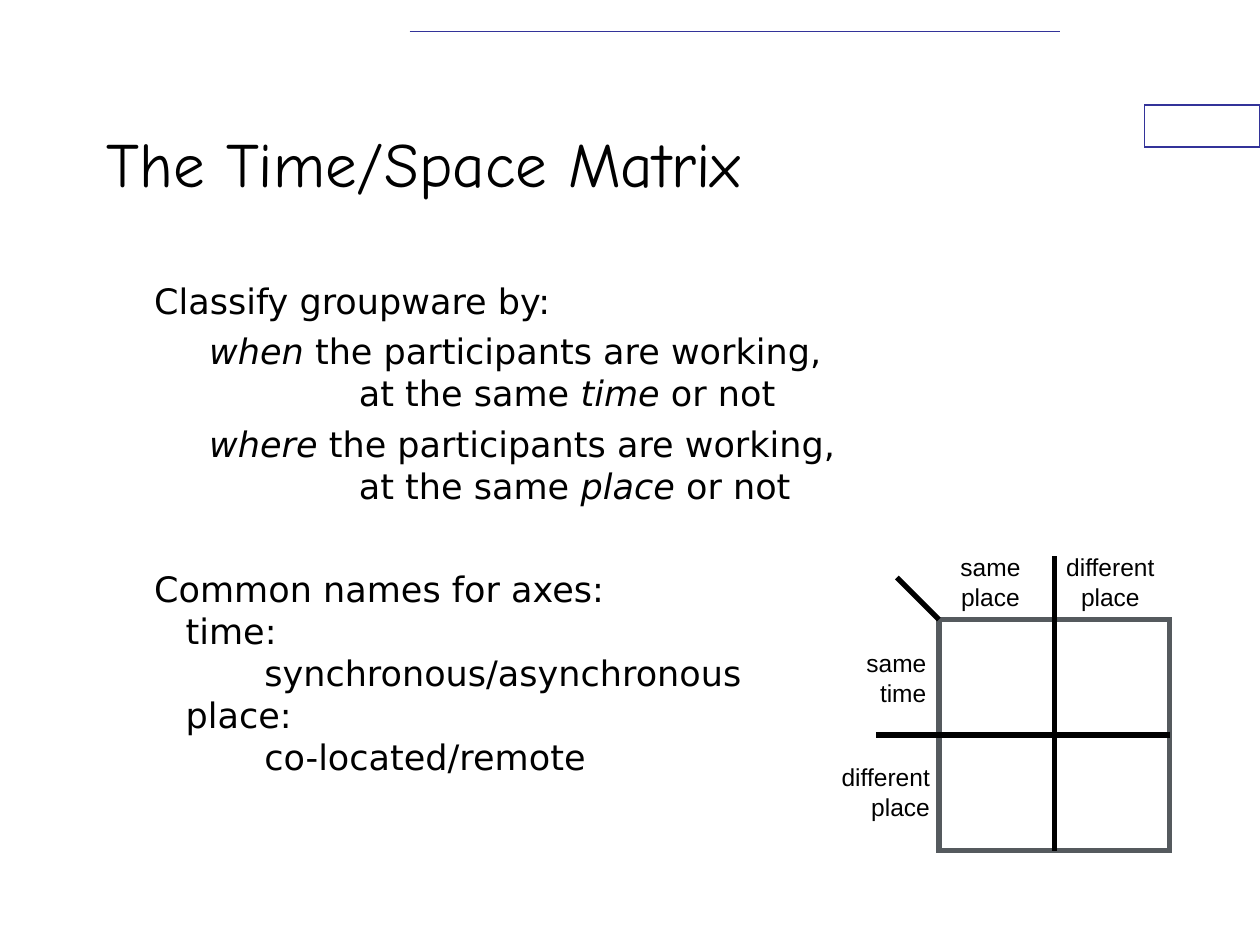
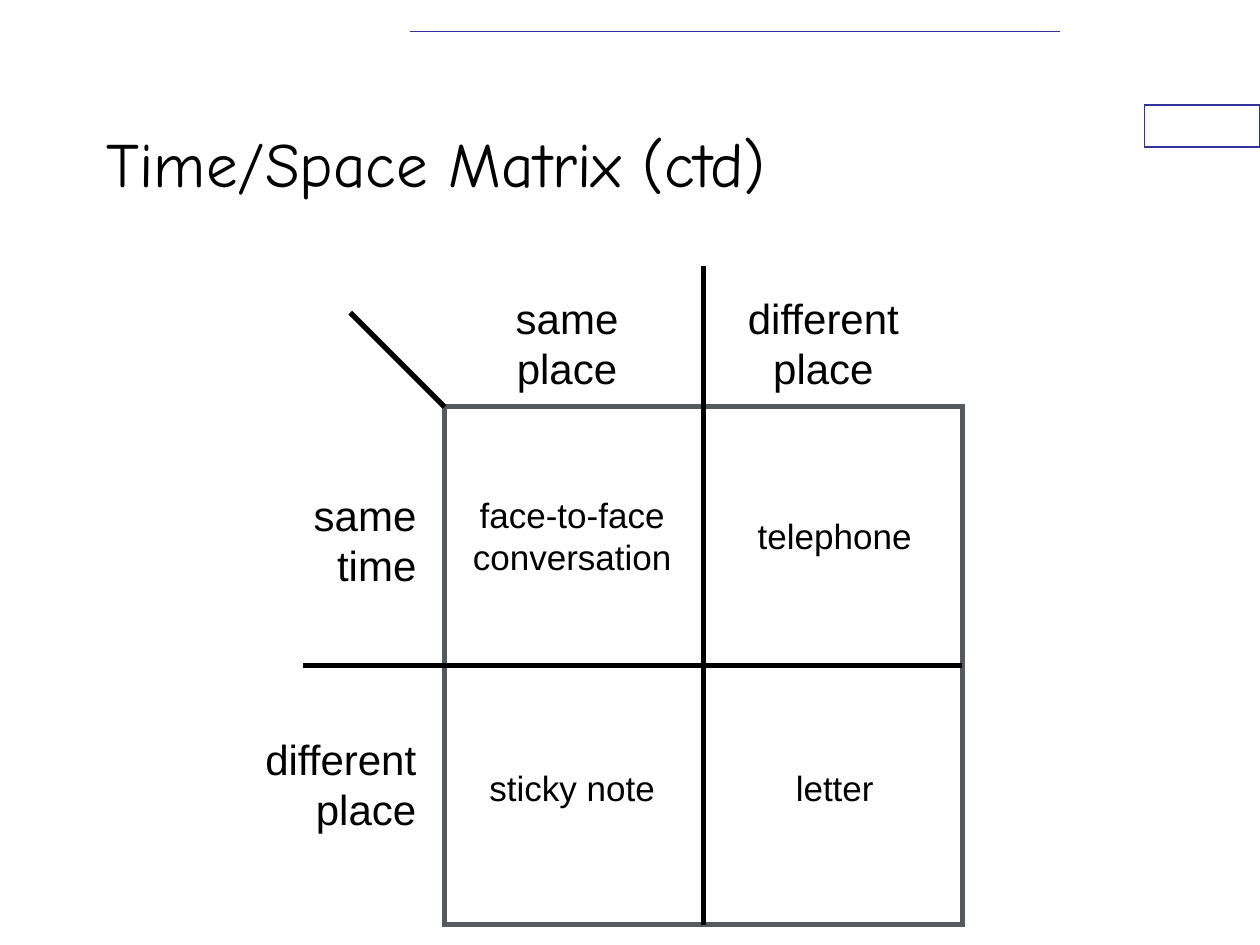
"""Build two slides on the time/space matrix of groupware."""
from pptx import Presentation
from pptx.dml.color import RGBColor
from pptx.enum.shapes import MSO_CONNECTOR, MSO_SHAPE
from pptx.enum.text import MSO_ANCHOR, MSO_AUTO_SIZE, PP_ALIGN
from pptx.oxml.ns import qn
from pptx.util import Pt
from lxml.etree import SubElement

HUES = {"ink": "000000", "paper": "FFFFFF", "navy": "333399", "frame": "555A5E"}
TONES = {name: RGBColor.from_string(code) for name, code in HUES.items()}
FONTS = {
    "title": {"name": "Comic Neue", "size": Pt(36)},
    "body": {"name": "DejaVu Sans", "size": Pt(20)},
    "small": {"name": "Arial", "size": Pt(14)},
    "large": {"name": "Arial", "size": Pt(24)},
    "cell": {"name": "Arial", "size": Pt(20)},
}
MID, END = PP_ALIGN.CENTER, PP_ALIGN.RIGHT


def write(slide, box, paras, font, align=PP_ALIGN.LEFT, wrap=False):
    """Add a text box; each para is (text, indent, gap), with *italic* marks."""
    frame = slide.shapes.add_textbox(*map(Pt, box)).text_frame
    frame.word_wrap = wrap
    frame.auto_size = MSO_AUTO_SIZE.NONE if wrap else MSO_AUTO_SIZE.SHAPE_TO_FIT_TEXT
    for n, (text, indent, gap) in enumerate(paras):
        para = frame.add_paragraph() if n else frame.paragraphs[0]
        para.alignment, para.space_before = align, Pt(gap)
        if indent:
            props = para._p.get_or_add_pPr()
            props.set("marL", str(Pt(indent)))
            props.set("indent", "0")
        for k, part in enumerate(text.split("*")):
            for m, row in enumerate(part.split("\n")):
                if m:
                    para.add_line_break()
                if row:
                    run = para.add_run()
                    run.text = row
                    run.font.color.rgb = TONES["ink"]
                    for key, value in {**FONTS[font], "italic": k % 2 == 1}.items():
                        setattr(run.font, key, value)
    return frame


def draw(slide, kind, spots, hue, width):
    """Add a straight line or a white rectangle with a coloured outline."""
    if kind == "line":
        item = slide.shapes.add_connector(MSO_CONNECTOR.STRAIGHT, *map(Pt, spots))
    else:
        item = slide.shapes.add_shape(MSO_SHAPE.RECTANGLE, *map(Pt, spots))
        item.shadow.inherit = False
        item.fill.solid()
        item.fill.fore_color.rgb = TONES["paper"]
    item.line.color.rgb = TONES[hue]
    item.line.width = Pt(width)
    SubElement(item.line._get_or_add_ln(), qn("a:miter"), lim="800000")
    if kind == "line":
        SubElement(item._element.spPr, qn("a:effectLst"))
    return item


points = [
    ("Classify groupware by:", 27, 5),
    ("*when* the participants are working,", 58.5, 5),
    ("at the same *time* or not", 144, 0),
    ("*where* the participants are working,", 58.5, 5),
    ("at the same *place* or not", 144, 0),
    ("Common names for axes:", 27, 34.5),
    ("time:", 45, 0),
    ("synchronous/asynchronous", 90, 0),
    ("place:", 45, 0),
    ("co-located/remote", 90, 0),
]
pages = [
    {"title": "The Time/Space Matrix", "points": points,
     "grid": (536.5, 354, 66), "font": "small",
     "heads": [(602, 312, 65, 41), (541, 312, 50, 41),
               (486.5, 367, 50, 41), (473.5, 432, 65, 41)],
     "cells": []},
    {"title": "Time/Space Matrix (ctd)", "points": [],
     "grid": (254, 232.5, 148), "font": "large",
     "heads": [(420, 163.5, 101, 65), (287, 163.5, 74, 65),
               (171, 276, 74, 65), (143, 415.5, 102, 65)],
     "cells": [("face-to-face\nconversation", (262, 278.5, 130, 55)),
               ("telephone", (422, 290.5, 110, 32)),
               ("sticky note", (267, 434.5, 120, 32)),
               ("letter", (447, 434.5, 60, 32))]},
]
heads = [("different\nplace", MID), ("same\nplace", MID),
         ("same\ntime", END), ("different\nplace", END)]

deck = Presentation()
deck.slide_width, deck.slide_height = Pt(720), Pt(540)

for page in pages:
    slide = deck.slides.add_slide(deck.slide_layouts[6])
    draw(slide, "box", (654, 60, 66, 24), "navy", 0.75)
    draw(slide, "line", (234, 18, 606, 18), "navy", 1)
    title = write(slide, (54, 48, 540, 90), [(page["title"], 0, 0)], "title", wrap=True)
    title.vertical_anchor = MSO_ANCHOR.MIDDLE
    if page["points"]:
        write(slide, (54, 156, 612, 324), page["points"], "body", wrap=True)

    left, top, cell = page["grid"]
    arm, slant = cell * 6 / 11, cell * 4 / 11
    midx, midy = left + cell, top + cell
    frame = draw(slide, "box", (left, top, 2 * cell, 2 * cell), "frame", 3)
    across = draw(slide, "line", (left - arm, midy, midx + cell, midy), "ink", 3)
    across.end_connect(frame, 3)
    down = draw(slide, "line", (midx, top - arm, midx, midy + cell), "ink", 3)
    down.end_connect(frame, 2)
    draw(slide, "line", (left, top, left - slant, top - slant), "ink", 3)

    for (text, align), box in zip(heads, page["heads"]):
        write(slide, box, [(text, 0, 0)], page["font"], align)
    for text, box in page["cells"]:
        write(slide, box, [(text, 0, 0)], "cell", MID)

deck.save("out.pptx")
